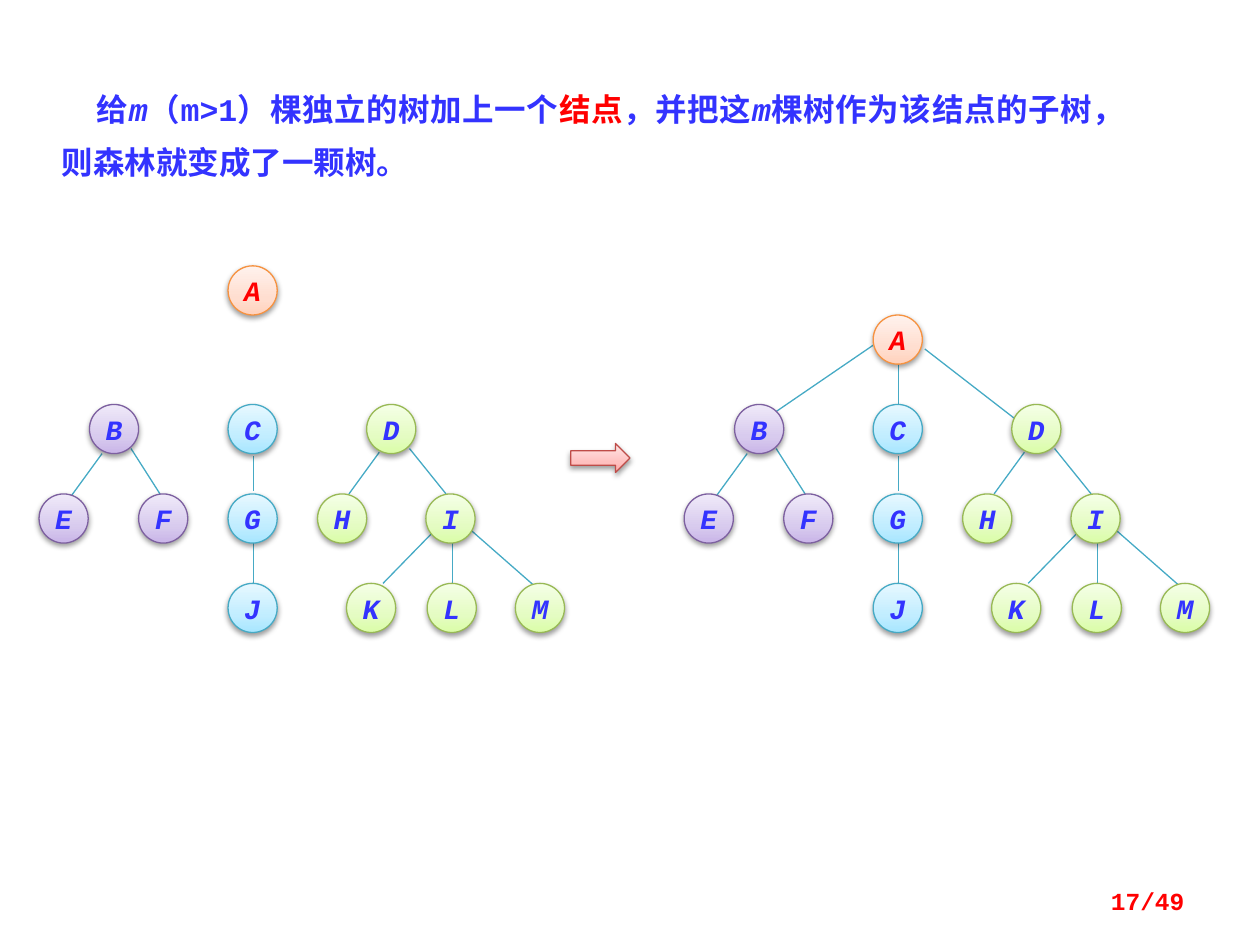
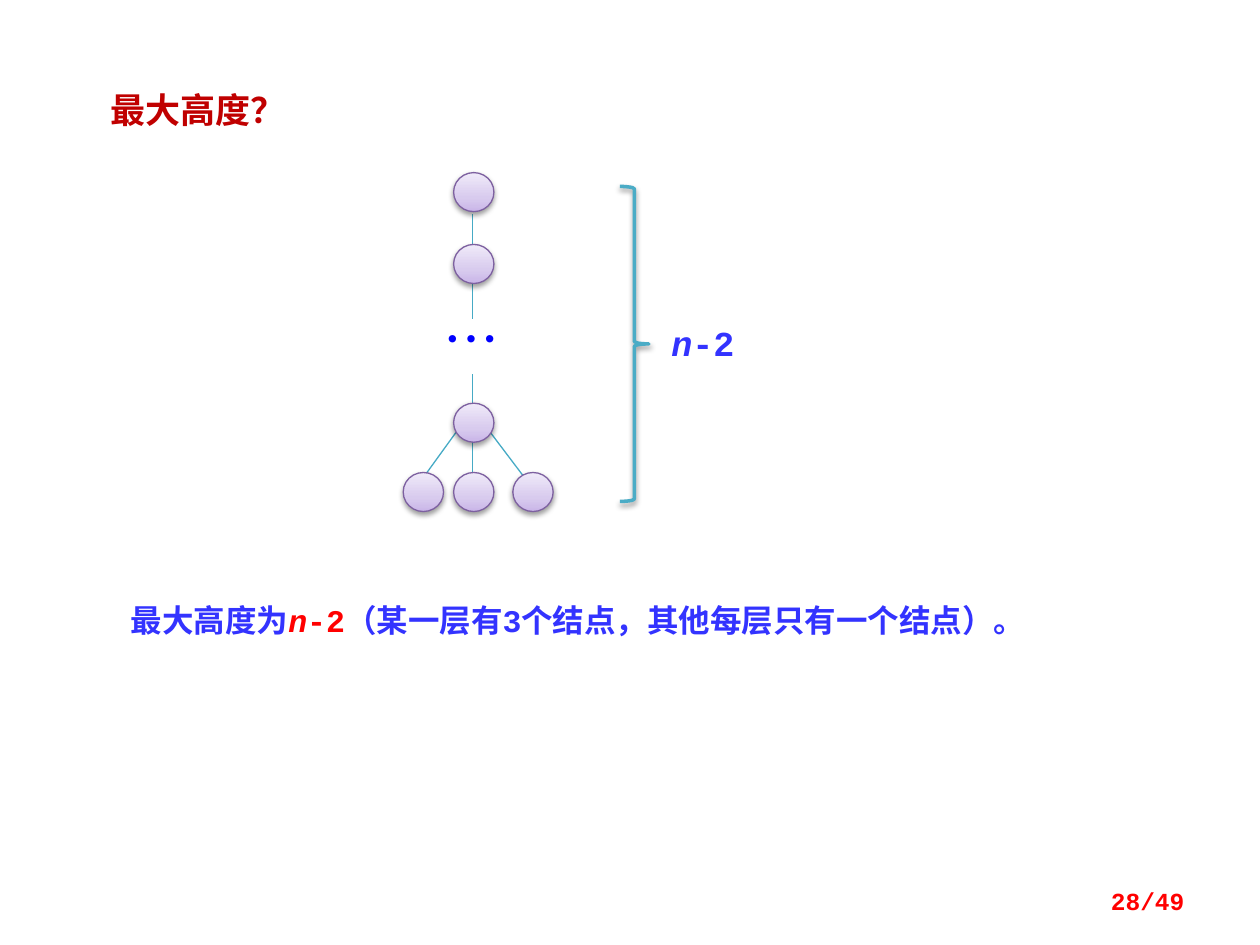
from copy import deepcopy

from lxml import etree
from pptx import Presentation
from pptx.dml.color import RGBColor
from pptx.enum.shapes import MSO_CONNECTOR, MSO_SHAPE
from pptx.enum.text import MSO_ANCHOR, MSO_AUTO_SIZE, PP_ALIGN
from pptx.oxml.ns import qn
from pptx.util import Inches, Pt

LEFT, CENTER, RIGHT = PP_ALIGN.LEFT, PP_ALIGN.CENTER, PP_ALIGN.RIGHT
JUSTIFY = PP_ALIGN.JUSTIFY
MIDDLE, TOP = MSO_ANCHOR.MIDDLE, MSO_ANCHOR.TOP
FIT_SHAPE = MSO_AUTO_SIZE.SHAPE_TO_FIT_TEXT
OVAL, ARROW, BRACE = MSO_SHAPE.OVAL, MSO_SHAPE.RIGHT_ARROW, MSO_SHAPE.RIGHT_BRACE
STRAIGHT = MSO_CONNECTOR.STRAIGHT

MONO, CJK = "Courier New", "Noto Sans CJK SC"
BLUE = RGBColor(0x33, 0x33, 0xFF)
DOT_BLUE = RGBColor(0x00, 0x00, 0xFF)
RED = RGBColor(0xFF, 0x00, 0x00)
DARK_RED = RGBColor(0xC0, 0x00, 0x00)
EDGE_TEAL = RGBColor(0x46, 0xAA, 0xC5)
BRACE_TEAL = RGBColor(0x4B, 0xAC, 0xC6)

# Outline, then the gradient from bottom to top
ORANGE = [RGBColor.from_string(c) for c in ("F69240", "FFD2BD", "FFDED0", "FFF2ED")]
PURPLE = [RGBColor.from_string(c) for c in ("7D60A0", "C9B5E8", "D8CBEE", "F0EAF9")]
CYAN = [RGBColor.from_string(c) for c in ("46AAC5", "A7E6FF", "C1EDFF", "E7F8FF")]
GREEN = [RGBColor.from_string(c) for c in ("98B955", "DAFDA7", "E4FCC2", "F5FFE7")]
PINK = [RGBColor.from_string(c) for c in ("BF4C48", "FFA6A5", "FFC0BF", "FFE7E7")]
GRADIENT_STOPS = (0, 0.35, 1)


def write_text(frame, runs, size=18, color=BLUE, font=MONO, bold=True, align=LEFT,
               anchor=TOP, wrap=True, fit=True, spacing=None, indent=0, inset=None):
    """Fill a text frame; each run is (text, italic) or (text, italic, color)."""
    frame.word_wrap = wrap
    frame.vertical_anchor = anchor
    if fit:
        frame.auto_size = FIT_SHAPE
    if inset is not None:
        frame.margin_left = frame.margin_right = Inches(inset)
        frame.margin_top = frame.margin_bottom = Inches(inset)
    paragraph = frame.paragraphs[0]
    paragraph.alignment = align
    if spacing:
        paragraph.line_spacing = spacing
    if indent:
        paragraph._p.get_or_add_pPr().set("indent", str(Inches(indent)))
    for text, italic, *own_color in runs:
        run = paragraph.add_run()
        run.text = text
        run.font.name, run.font.size = font, Pt(size)
        run.font.bold, run.font.italic = bold, italic
        run.font.color.rgb = own_color[0] if own_color else color
        etree.SubElement(run._r.get_or_add_rPr(), qn("a:ea"), typeface=CJK)


def add_raised_shape(slide, preset, box, colors, width=0.75):
    """Add a shape with an outline, an optional gradient and a soft shadow below."""
    shape = slide.shapes.add_shape(preset, *map(Inches, box))
    properties = shape._element.spPr
    outline, *gradient = colors
    if gradient:
        shape.fill.gradient()
        stop_list = properties.find(".//" + qn("a:gsLst"))
        stop_list.insert(1, deepcopy(stop_list[0]))
        for stop, position, color in zip(shape.fill.gradient_stops, GRADIENT_STOPS, gradient):
            stop.position = position
            stop.color.rgb = color
        shape.fill.gradient_angle = 90
    else:
        shape.fill.background()
    shape.line.color.rgb = outline
    shape.line.width = Pt(width)
    shape.shadow.inherit = False
    shadow = etree.SubElement(properties.find(qn("a:effectLst")), qn("a:outerShdw"),
                              blurRad=str(Pt(3.1)), dist=str(Pt(1.6)), dir="5400000",
                              rotWithShape="0")
    black = etree.SubElement(shadow, qn("a:srgbClr"), val="000000")
    etree.SubElement(black, qn("a:alpha"), val="38000")
    return shape


# Forest: left edge, level and palette of each node
NODE, FIRST_LEVEL, LEVEL_STEP = 0.39, 3.21, 0.71
TREE_SHIFT = 5.12
forest_nodes = {
    "B": (0.71, 0, PURPLE), "C": (1.81, 0, CYAN), "D": (2.91, 0, GREEN),
    "E": (0.31, 1, PURPLE), "F": (1.1, 1, PURPLE), "G": (1.81, 1, CYAN),
    "H": (2.52, 1, GREEN), "I": (3.38, 1, GREEN), "J": (1.81, 2, CYAN),
    "K": (2.75, 2, GREEN), "L": (3.39, 2, GREEN), "M": (4.09, 2, GREEN),
}
forest_edges = [
    (0.81, 3.6, 0.57, 3.93), (1.04, 3.56, 1.27, 3.92),
    (2.01, 3.62, 2.01, 3.9), (2.01, 4.31, 2.01, 4.63),
    (3.01, 3.59, 2.77, 3.92), (3.25, 3.56, 3.54, 3.92),
    (3.43, 4.23, 3.04, 4.63), (3.59, 4.31, 3.59, 4.63), (3.74, 4.21, 4.23, 4.64),
]
joined_edges = [(x1 + TREE_SHIFT, y1, x2 + TREE_SHIFT, y2) for x1, y1, x2, y2 in forest_edges]
root_edges = [(6.93, 2.74, 6.14, 3.28), (7.13, 2.89, 7.13, 3.21), (7.34, 2.77, 8.05, 3.32)]

# Tallest tree: a chain that ends in three leaves
chain_nodes = [(3.6, 1.37), (3.6, 1.94), (3.6, 3.2), (3.2, 3.75), (3.6, 3.75), (4.07, 3.75)]
chain_edges = [(3.75, top, 3.75, bottom) for top, bottom in
               ((1.7, 2.02), (2.21, 2.53), (2.97, 3.28), (3.43, 3.83))]
leaf_edges = [(3.83, 3.35, 4.2, 3.84), (3.7, 3.32, 3.36, 3.79)]

deck = Presentation()
deck.slide_width, deck.slide_height = Inches(10), Inches(7.5)

# Both slides: page number and tree edges, which lie behind the nodes
slides = []
for page, edges in (("17/49", forest_edges + joined_edges + root_edges),
                    ("28/49", chain_edges + leaf_edges)):
    slide = deck.slides.add_slide(deck.slide_layouts[6])
    slides.append(slide)
    footer = slide.shapes.add_textbox(Inches(7.17), Inches(6.95), Inches(2.33), Inches(0.4))
    write_text(footer.text_frame, [(page, False)], size=14, color=RED,
               align=RIGHT, anchor=MIDDLE, fit=False)
    for ends in edges:
        edge = slide.shapes.add_connector(STRAIGHT, *map(Inches, ends))
        edge.line.color.rgb = EDGE_TEAL
        edge.line.width = Pt(0.75)
        etree.SubElement(edge._element.spPr, qn("a:effectLst"))
forest_slide, height_slide = slides

# Slide 1: a forest becomes a tree
statement = forest_slide.shapes.add_textbox(Inches(0.39), Inches(0.55), Inches(8.63), Inches(0.9))
write_text(statement.text_frame, [
    ("给", False), ("m", True), ("（m>1）棵独立的树加上一个", False), ("结点", False, RED),
    ("，并把这", False), ("m", True),
    ("棵树作为该结点的子树，则森林就变成了一颗树。", False),
], align=JUSTIFY, spacing=Pt(30), indent=0.28)

for shift, root_top in ((0, 2.11), (TREE_SHIFT, 2.5)):
    placed_nodes = [("A", 1.81, root_top, ORANGE)]
    for letter, (left, level, palette) in forest_nodes.items():
        placed_nodes.append((letter, left, FIRST_LEVEL + level * LEVEL_STEP, palette))
    for letter, left, top, palette in placed_nodes:
        node = add_raised_shape(forest_slide, OVAL, (left + shift, top, NODE, NODE), palette)
        write_text(node.text_frame, [(letter, True)], size=16,
                   color=RED if letter == "A" else BLUE,
                   align=CENTER, anchor=MIDDLE, wrap=False, fit=False)

add_raised_shape(forest_slide, ARROW, (4.53, 3.52, 0.47, 0.23), PINK)

# Slide 2: maximum height
for left, top in chain_nodes:
    add_raised_shape(height_slide, OVAL, (left, top, 0.32, 0.31), PURPLE)
add_raised_shape(height_slide, BRACE, (4.92, 1.48, 0.23, 2.5), [BRACE_TEAL], width=2)

height_texts = [
    ((0.78, 0.62, 2.69, 0.45), [("最大高度？", False)],
     dict(size=20, color=DARK_RED, font=CJK, align=JUSTIFY, spacing=1.1)),
    ((3.52, 2.42, 0.63, 0.54), [("…", False)],
     dict(size=32, color=DOT_BLUE, font=CJK, bold=False, inset=0)),
    ((5.23, 2.5, 0.78, 0.44), [("n", True), ("-2", False)], dict(size=20)),
    ((0.94, 4.69, 8.36, 0.41),
     [("最大高度为", False), ("n", True, RED), ("-2", False, RED),
      ("（某一层有3个结点，其他每层只有一个结点）。", False)],
     dict(align=JUSTIFY, spacing=1.1)),
]
for box, runs, text_format in height_texts:
    label = height_slide.shapes.add_textbox(*map(Inches, box))
    write_text(label.text_frame, runs, **text_format)

deck.save("out.pptx")
